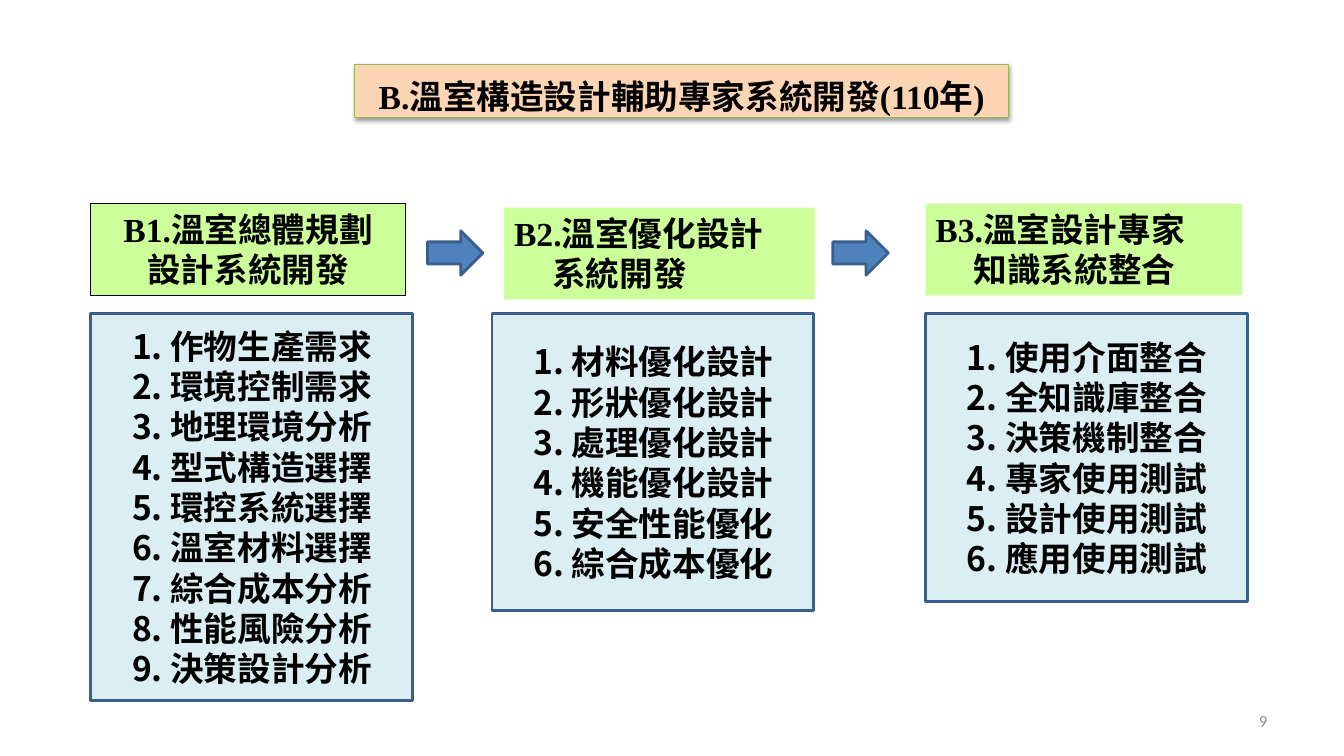
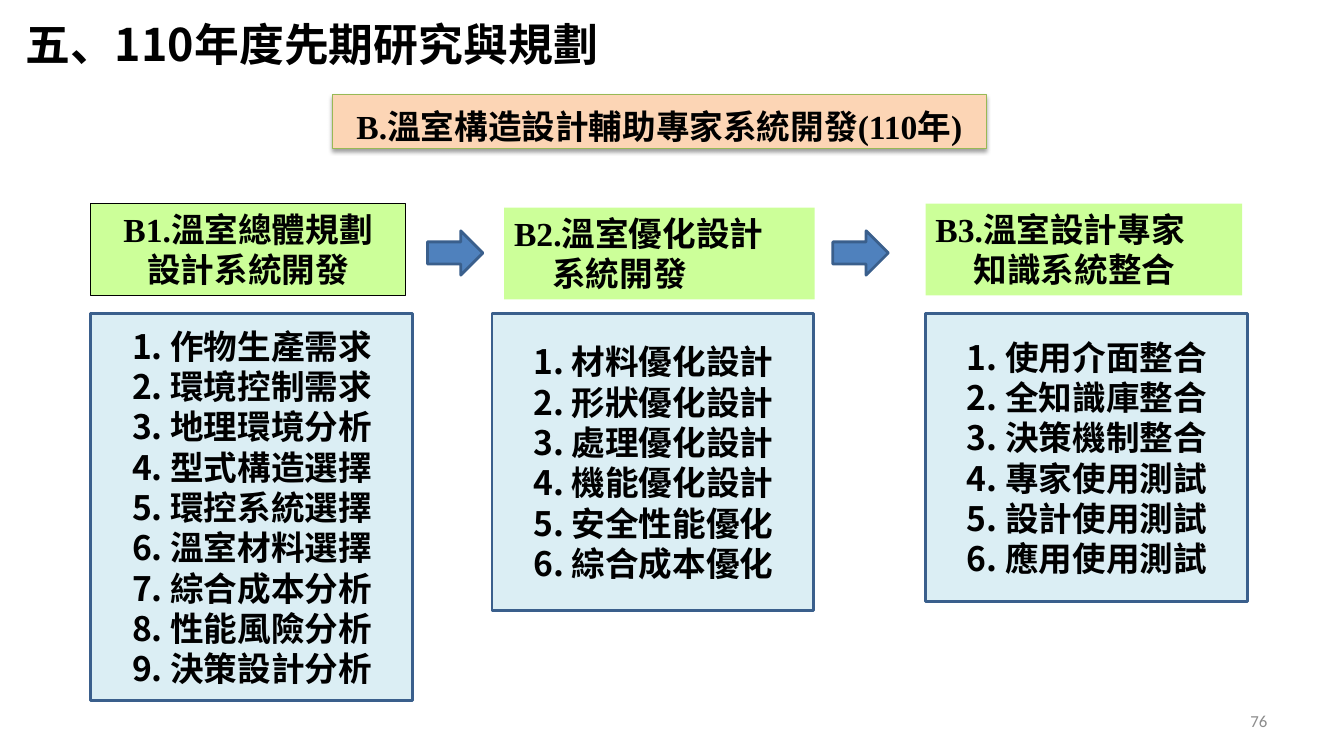
import lxml.etree
import pptx
import pptx.dml.color
import pptx.enum.shapes
import pptx.enum.text
import pptx.oxml.ns
import pptx.util

Inches = pptx.util.Inches
Pt = pptx.util.Pt
ALIGN = pptx.enum.text.PP_ALIGN
ANCHOR = pptx.enum.text.MSO_ANCHOR
SHAPE = pptx.enum.shapes.MSO_SHAPE

PROJECT = "B.溫室構造設計輔助專家系統開發(110年)"
HEADINGS = [
    ((0.9, 2.02, 3.12, 0.91), ("B1.溫室總體規劃", "設計系統開發"), ALIGN.CENTER, "000000"),
    ((5, 2.06, 3.08, 0.91), ("B2.溫室優化設計", "系統開發"), ALIGN.LEFT, None),
    ((9.18, 2.02, 3.14, 0.91), ("B3.溫室設計專家", "知識系統整合"), ALIGN.LEFT, None),
]
TASKS = [
    (0.9, 3.84, ("作物生產需求", "環境控制需求", "地理環境分析", "型式構造選擇", "環控系統選擇",
                 "溫室材料選擇", "綜合成本分析", "性能風險分析", "決策設計分析")),
    (4.88, 2.95, ("材料優化設計", "形狀優化設計", "處理優化設計", "機能優化設計",
                  "安全性能優化", "綜合成本優化")),
    (9.18, 2.86, ("使用介面整合", "全知識庫整合", "決策機制整合", "專家使用測試",
                  "設計使用測試", "應用使用測試")),
]
ARROW_LEFTS = (4.24, 8.26)


def color(value):
    return pptx.dml.color.RGBColor.from_string(value)


def add_element(parent, tag, **attributes):
    return lxml.etree.SubElement(parent, pptx.oxml.ns.qn(tag), attributes)


class Deck:
    SANS = "Noto Sans CJK SC"
    SERIF = "Times New Roman"
    INK = "000000"
    EDGE = "3A5F8C"
    LINE_HEIGHT = 28.8

    def __init__(self):
        self.presentation = pptx.Presentation()
        self.presentation.slide_width = Inches(13.33)
        self.presentation.slide_height = Inches(7.5)
        self.slide = None

    def add_slide(self):
        layout = self.presentation.slide_layouts.get_by_name("Comparison")
        self.slide = self.presentation.slides.add_slide(layout)

    def place(self, shape, box):
        shape.left, shape.top, shape.width, shape.height = map(Inches, box)

    def paint(self, shape, fill, line=None, width=2):
        shape.shadow.inherit = False
        shape.fill.solid()
        shape.fill.fore_color.rgb = color(fill)
        if line:
            shape.line.color.rgb = color(line)
            shape.line.width = Pt(width)
        else:
            shape.line.fill.background()

    def set_text(self, shape, lines, size=24, font=SANS, ink=INK, bold=True,
                 align=ALIGN.LEFT, anchor=ANCHOR.MIDDLE, spacing=None, wrap=True):
        frame = shape.text_frame
        frame.text = "\n".join(lines)
        frame.auto_size = pptx.enum.text.MSO_AUTO_SIZE.NONE
        frame.word_wrap = wrap
        frame.vertical_anchor = anchor
        for paragraph in frame.paragraphs:
            paragraph.alignment = align
            paragraph.space_before = Pt(0)
            if spacing:
                paragraph.line_spacing = Pt(spacing)
            for run in paragraph.runs:
                run.font.size = Pt(size)
                run.font.bold = bold
                run.font.color.rgb = color(ink)
                run.font.name = font
                add_element(run._r.get_or_add_rPr(), "a:ea", typeface=self.SANS)
        return frame

    def add_shape(self, kind, box):
        return self.slide.shapes.add_shape(kind, *map(Inches, box))

    def title(self, text):
        shape = self.slide.shapes.title
        self.place(shape, (0.15, 0.11, 6.24, 0.64))
        self.set_text(shape, [text], size=32)

    def banner(self, shape, left, top):
        self.place(shape, (left, top, 6.48, 0.53))
        self.paint(shape, "FCD5B5", "98B955", 0.75)
        effects = shape._element.spPr.find(pptx.oxml.ns.qn("a:effectLst"))
        shadow = add_element(effects, "a:outerShdw", blurRad=str(Pt(3.1)), dist=str(Pt(1.6)),
                             dir="5400000", rotWithShape="0")
        shade = add_element(shadow, "a:srgbClr", val=self.INK)
        add_element(shade, "a:alpha", val="38000")
        frame = self.set_text(shape, [PROJECT], font=self.SERIF, align=ALIGN.CENTER,
                              spacing=35, wrap=False)
        frame.margin_left = frame.margin_right = Inches(0.04)
        frame.margin_top = frame.margin_bottom = Inches(0.02)

    def heading(self, box, lines, align, line):
        shape = self.add_shape(SHAPE.RECTANGLE, box)
        self.paint(shape, "CCFF99", line, 0.75)
        frame = self.set_text(shape, lines, font=self.SERIF, align=align, anchor=ANCHOR.TOP,
                              spacing=self.LINE_HEIGHT)
        if align == ALIGN.LEFT:
            properties = frame.paragraphs[1]._p.get_or_add_pPr()
            properties.set("marL", str(Inches(0.38)))

    def arrow(self, left):
        shape = self.add_shape(SHAPE.RIGHT_ARROW, (left, 2.29, 0.55, 0.44))
        self.paint(shape, "4F81BD", self.EDGE)

    def task_list(self, shape, left, height, tasks):
        self.place(shape, (left, 3.11, 3.19, height))
        self.paint(shape, "DBEEF4", self.EDGE)
        frame = self.set_text(shape, tasks, spacing=self.LINE_HEIGHT)
        for paragraph in frame.paragraphs:
            properties = paragraph._p.get_or_add_pPr()
            properties.set("marL", str(Inches(0.69)))
            properties.set("indent", str(Inches(-0.38)))
            add_element(properties, "a:buFont", typeface=self.SANS)
            add_element(properties, "a:buAutoNum", type="arabicPeriod")

    def plan(self):
        for heading in HEADINGS:
            self.heading(*heading)
        for left in ARROW_LEFTS:
            self.arrow(left)
        bodies = list(self.slide.placeholders)[1:]
        for shape, tasks in zip(bodies, TASKS):
            self.task_list(shape, *tasks)
        for shape in bodies[len(TASKS):]:
            shape._element.getparent().remove(shape._element)

    def page_number(self, number):
        shape = self.slide.shapes.add_textbox(*map(Inches, (9.56, 6.95, 3.11, 0.4)))
        self.set_text(shape, [str(number)], size=12, font="Calibri", ink="8C8C8C",
                      bold=False, align=ALIGN.RIGHT)


def main():
    deck = Deck()

    deck.add_slide()
    deck.banner(deck.slide.shapes.title, 3.52, 0.64)
    deck.plan()
    deck.page_number(9)

    deck.add_slide()
    deck.title("五、110年度先期研究與規劃")
    deck.banner(deck.add_shape(SHAPE.RECTANGLE, (3.3, 0.94, 6.48, 0.53)), 3.3, 0.94)
    deck.plan()
    deck.page_number(76)

    deck.presentation.save("out.pptx")


if __name__ == "__main__":
    main()
